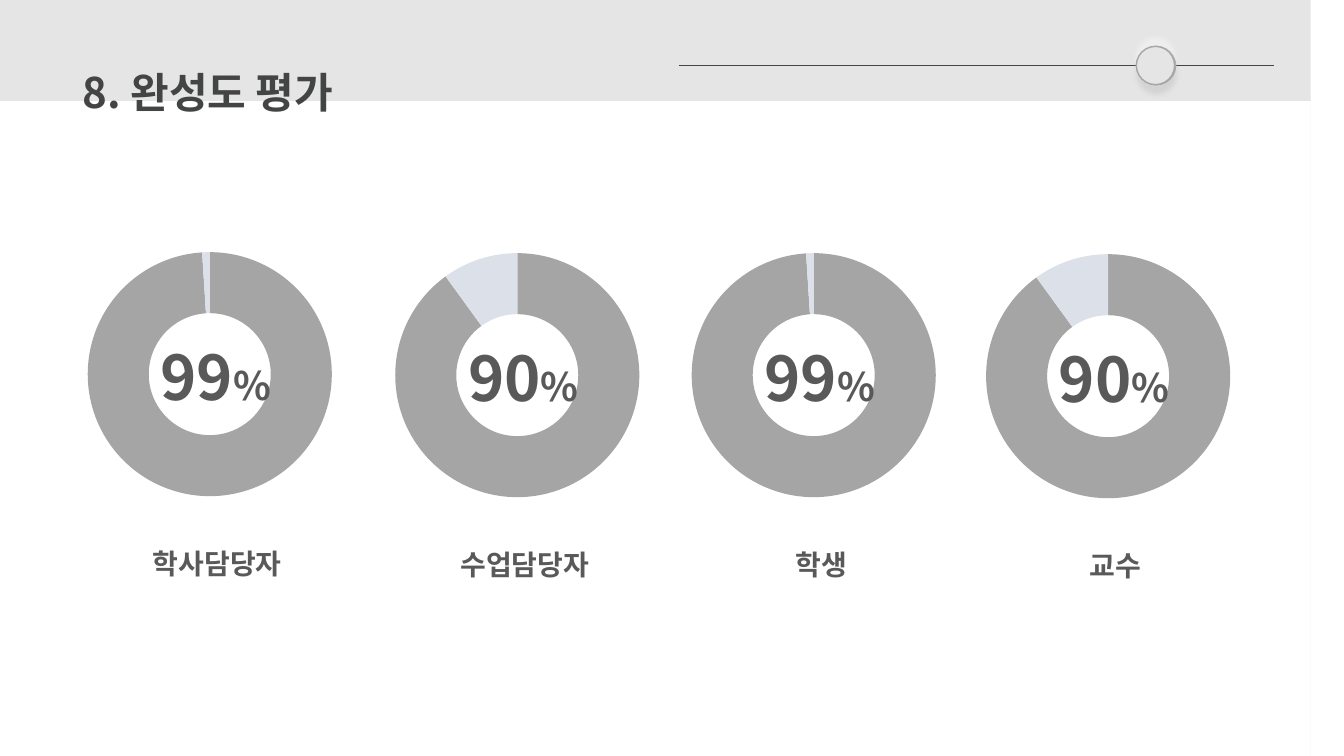
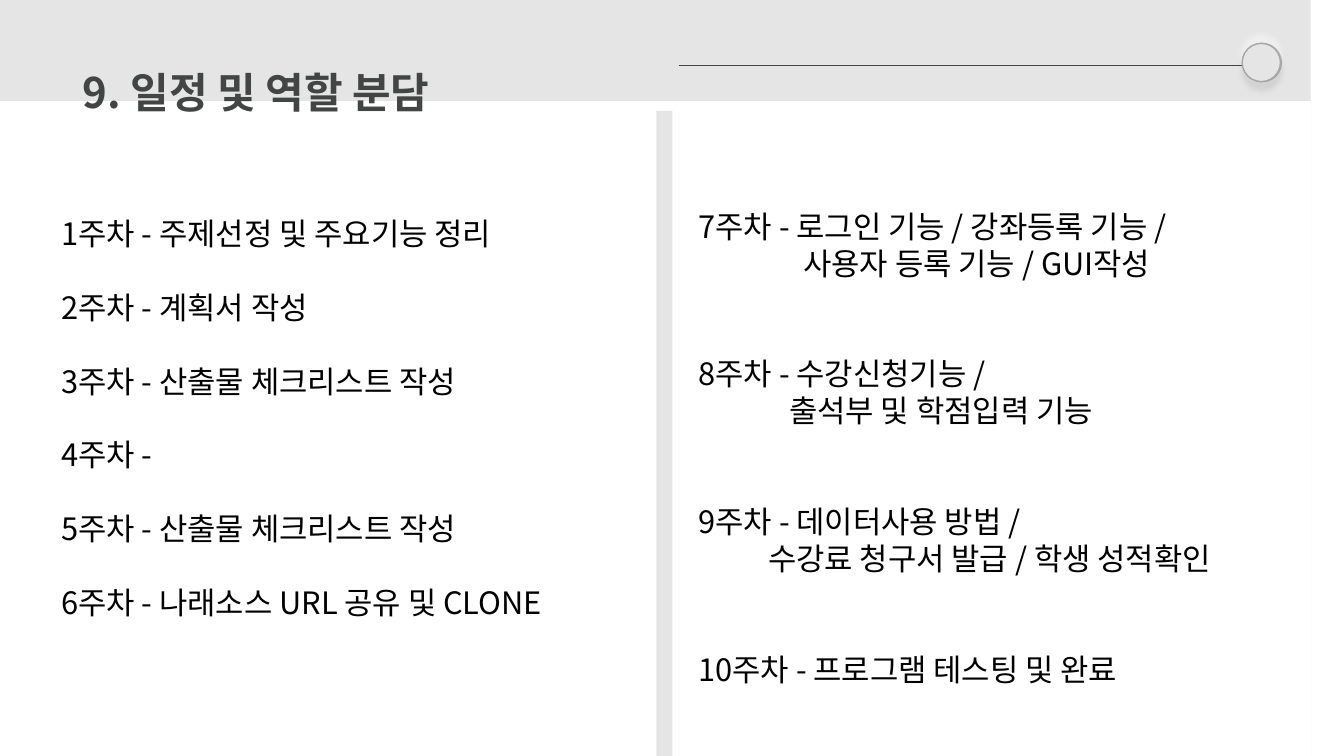
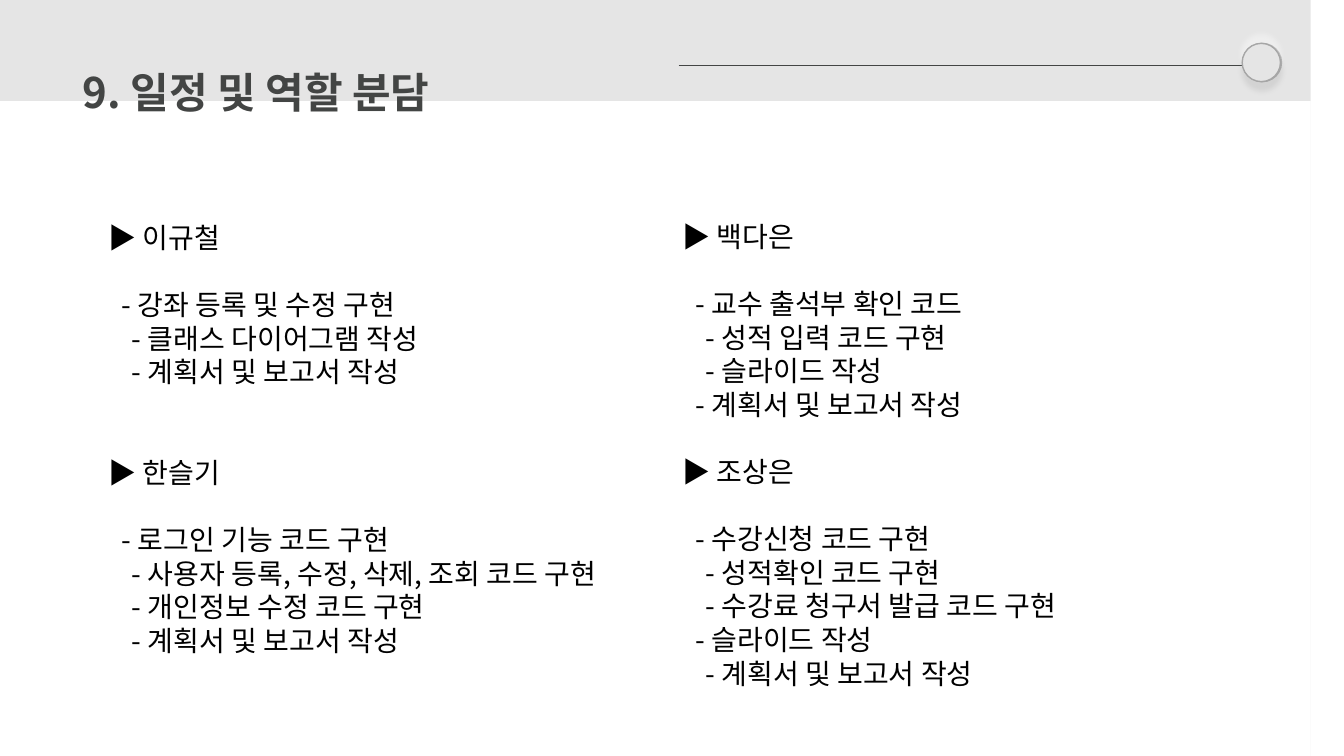
"""Builds three report slides: evaluation charts, weekly schedule and roles."""
from math import cos, pi, sin

from lxml.etree import SubElement
from pptx import Presentation
from pptx.chart.data import CategoryChartData
from pptx.dml.color import RGBColor
from pptx.enum.chart import XL_CHART_TYPE
from pptx.enum.shapes import MSO_CONNECTOR, MSO_SHAPE
from pptx.enum.text import PP_ALIGN
from pptx.oxml import parse_xml
from pptx.oxml.ns import nsdecls, qn
from pptx.util import Inches, Pt

FONT = "Noto Sans CJK KR"
FRAME = RGBColor(0xE5, 0xE5, 0xE5)
KNOB = RGBColor(0xE8, 0xE8, 0xE8)
KNOB_EDGE = RGBColor(0xA6, 0xA6, 0xA6)
TITLE = RGBColor(0x43, 0x45, 0x44)
LABEL = RGBColor(0x59, 0x59, 0x59)
BODY = RGBColor(0, 0, 0)
WHITE = RGBColor(0xFF, 0xFF, 0xFF)
DONE = RGBColor(0xA5, 0xA5, 0xA5)
REST = RGBColor(0xDC, 0xE0, 0xE9)
WIDTH, HEIGHT = 13.33, 7.5


class Deck:
    """Holds the presentation style and the current slide."""

    def __init__(self):
        """Start an empty wide presentation."""
        self.prs = Presentation()
        self.prs.slide_width = Inches(WIDTH)
        self.prs.slide_height = Inches(HEIGHT)
        self.s = None

    def slide(self, title, knob_x, knob_y):
        """Add a slide with frame, title, rule and knob."""
        self.s = self.prs.slides.add_slide(self.prs.slide_layouts[6])
        self.frame()
        self.text((0.72, 0.34, 5.1, 0.84), [{"runs": [(title, 30)]}],
                  {"bold": True}, TITLE, pitch=53)
        self.rule(6.73, 12.64, 0.65)
        self.knob(knob_x, knob_y)

    def frame(self, left=0.4, top=1.28, radius=0.33, steps=16):
        """Draw the grey border around the round-topped white panel."""
        right = WIDTH - left
        turns = [pi / 2 * i / steps for i in range(steps + 1)]
        points = [(WIDTH, 0), (WIDTH, HEIGHT), (right, HEIGHT)]
        points += [(right - radius + radius * cos(t), top + radius - radius * sin(t)) for t in turns]
        points += [(left + radius - radius * sin(t), top + radius - radius * cos(t)) for t in turns]
        points += [(left, HEIGHT), (0, HEIGHT)]
        fb = self.s.shapes.build_freeform(0, 0, scale=Inches(1))
        fb.add_line_segments(points, close=True)
        self.plain(fb.convert_to_shape())

    def plain(self, sp):
        """Give a shape the frame colour without line or shadow."""
        sp.shadow.inherit = False
        sp.fill.solid()
        sp.fill.fore_color.rgb = FRAME
        sp.line.fill.background()

    def divider(self, x, y, w):
        """Draw a frame-coloured bar down to the slide's lower edge."""
        self.plain(self.s.shapes.add_shape(
            MSO_SHAPE.RECTANGLE, Inches(x), Inches(y), Inches(w), Inches(HEIGHT - y)))

    def rule(self, x1, x2, y):
        """Draw a thin horizontal line."""
        line = self.s.shapes.add_connector(
            MSO_CONNECTOR.STRAIGHT, Inches(x1), Inches(y), Inches(x2), Inches(y))
        line.line.color.rgb = TITLE
        line.line.width = Pt(0.5)
        SubElement(line._element.spPr, qn("a:effectLst"))

    def knob(self, x, y, size=0.38):
        """Draw two stacked circles with a dark and a light shadow."""
        group = self.s.shapes.add_group_shape()
        for dx, color, alpha, angle in ((0.01, BODY, 8, 90), (0, WHITE, 40, 270)):
            sp = group.shapes.add_shape(
                MSO_SHAPE.OVAL, Inches(x + dx), Inches(y), Inches(size), Inches(size))
            sp.fill.gradient()
            for stop, rgb in zip(sp.fill.gradient_stops, (KNOB, FRAME)):
                stop.color.rgb = rgb
            sp.line.color.rgb = KNOB_EDGE
            sp.line.width = Pt(1)
            sp.shadow.inherit = False
            spPr = sp._element.spPr
            grad = spPr.find(qn("a:gradFill"))
            grad.replace(grad.find(qn("a:lin")), parse_xml(
                f'<a:path {nsdecls("a")} path="circle">'
                '<a:fillToRect l="50000" t="50000" r="50000" b="50000"/></a:path>'))
            spPr.find(qn("a:effectLst")).append(parse_xml(
                f'<a:outerShdw {nsdecls("a")} blurRad="{Pt(4)}" dist="{Pt(6)}" '
                f'dir="{angle * 60000}" algn="ctr" rotWithShape="0"><a:srgbClr val="{color}">'
                f'<a:alpha val="{alpha * 1000}"/></a:srgbClr></a:outerShdw>'))

    def text(self, box, paragraphs, font, color, pitch, align=PP_ALIGN.LEFT):
        """Add text; each paragraph has runs and optional gap, indent and hang."""
        tf = self.s.shapes.add_textbox(*map(Inches, box)).text_frame
        tf.word_wrap = True
        tf.margin_top = Inches(0.05 + paragraphs[0]["runs"][0][1] / 800)
        for i, item in enumerate(paragraphs):
            p = tf.add_paragraph() if i else tf.paragraphs[0]
            layout = {"alignment": align, "line_spacing": Pt(pitch),
                      "space_before": Pt(item.get("gap", 0) * pitch)}
            for key, value in layout.items():
                setattr(p, key, value)
            pPr = p._p.get_or_add_pPr()
            pPr.set("marL", str(Inches(item.get("left", 0))))
            pPr.set("indent", str(Inches(item.get("first", 0))))
            for words, size in item["runs"]:
                r = p.add_run()
                r.text = words
                r.font.color.rgb = color
                for key, value in {"name": FONT, "size": Pt(size), **font}.items():
                    setattr(r.font, key, value)
                SubElement(r._r.get_or_add_rPr(), qn("a:ea"), typeface=FONT)

    def doughnut(self, x, y, percent, label):
        """Add a doughnut chart with its percentage and caption."""
        data = CategoryChartData()
        data.categories = ["1", "2"]
        data.add_series("Series 1", (percent, 100 - percent))
        chart = self.s.shapes.add_chart(
            XL_CHART_TYPE.DOUGHNUT, Inches(x), Inches(y), Inches(3.68), Inches(3.41), data).chart
        chart.has_legend = False
        chart.has_title = False
        for key, value in {"name": FONT, "size": Pt(14)}.items():
            setattr(chart.font, key, value)
        chart.font.color.rgb = WHITE
        plot = chart.plots[0]
        plot.vary_by_categories = True
        for i, rgb in enumerate((DONE, REST)):
            fmt = plot.series[0].points[i].format
            fmt.fill.solid()
            fmt.fill.fore_color.rgb = rgb
            fmt.line.fill.background()
        area = chart._chartSpace.chart.plotArea
        area.find(".//" + qn("c:holeSize")).set("val", "90")
        for old in area.findall(qn("c:layout")):
            area.remove(old)
        sides = {"x": 0.174, "y": 0.121, "w": 0.658, "h": 0.792}
        area.insert(0, parse_xml(
            f'<c:layout {nsdecls("c")}><c:manualLayout><c:layoutTarget val="inner"/>'
            '<c:xMode val="edge"/><c:yMode val="edge"/>'
            + "".join(f'<c:{k} val="{v}"/>' for k, v in sides.items())
            + "</c:manualLayout></c:layout>"))
        bold = {"bold": True}
        self.text((x + 1.12, y + 1.32, 1.58, 0.82), [{"runs": [(str(percent), 44), ("%", 28)]}],
                  bold, LABEL, 52, PP_ALIGN.CENTER)
        self.text((x + 0.34, y + 3.24, 3.17, 0.6), [{"runs": [(label, 20)]}],
                  bold, LABEL, 35.3, PP_ALIGN.CENTER)

    def weeks(self, box, rows, gap):
        """Add week lines; a row is its text and any indented second line."""
        paragraphs = []
        for i, (head, *more) in enumerate(rows):
            paragraphs.append({"runs": [(head, 22)], "gap": gap if i else 0})
            for words, left in more:
                paragraphs.append({"runs": [(words, 22)], "left": left})
        self.text(box, paragraphs, {}, BODY, 26.4)

    def roles(self, box, people, gap):
        """Add each person's name and tasks; a task is its depth and text."""
        paragraphs = []
        for i, (name, tasks) in enumerate(people):
            paragraphs.append({"runs": [("▶ " + name, 20)], "gap": gap if i else 0})
            for j, (depth, task) in enumerate(tasks):
                paragraphs.append({"runs": [("- " + task, 20)], "gap": 0 if j else 1,
                                   "first": 0.03 + 0.1 * depth})
        self.text(box, paragraphs, {}, BODY, 24)


def main():
    """Build and save the slides."""
    deck = Deck()

    deck.slide("8. 완성도 평가", 11.27, 0.46)
    for x, y, percent, label in (
            (0.23, 1.95, 99, "학사담당자"), (3.28, 1.96, 90, "수업담당자"),
            (6.22, 1.96, 99, "학생"), (9.14, 1.97, 90, "교수")):
        deck.doughnut(x, y, percent, label)

    deck.slide("9. 일정 및 역할 분담", 12.32, 0.43)
    deck.divider(6.51, 1.1, 0.16)
    deck.weeks((0.51, 2.05, 5.84, 4.13), [
        ("1주차 - 주제선정 및 주요기능 정리",),
        ("2주차 - 계획서 작성",),
        ("3주차 - 산출물 체크리스트 작성",),
        ("4주차 -",),
        ("5주차 - 산출물 체크리스트 작성",),
        ("6주차 - 나래소스 URL 공유 및 CLONE",)], gap=1)
    deck.weeks((6.83, 1.98, 5.84, 4.86), [
        ("7주차 - 로그인 기능 / 강좌등록 기능 /", ("사용자 등록 기능 / GUI작성", 1.04)),
        ("8주차 - 수강신청기능 /", ("출석부 및 학점입력 기능", 0.9)),
        ("9주차 - 데이터사용 방법 /", ("수강료 청구서 발급 / 학생 성적확인", 0.69)),
        ("10주차 - 프로그램 테스팅 및 완료",)], gap=2)

    deck.slide("9. 일정 및 역할 분담", 12.32, 0.43)
    report = "계획서 및 보고서 작성"
    deck.roles((0.98, 2.11, 5.4, 4.43), [
        ("이규철", [(1, "강좌 등록 및 수정 구현"), (2, "클래스 다이어그램 작성"), (2, report)]),
        ("한슬기", [(1, "로그인 기능 코드 구현"), (2, "사용자 등록, 수정, 삭제, 조회 코드 구현"),
                 (2, "개인정보 수정 코드 구현"), (2, report)])], gap=2)
    deck.roles((6.67, 2.1, 5.27, 4.76), [
        ("백다은", [(1, "교수 출석부 확인 코드"), (2, "성적 입력 코드 구현"),
                 (2, "슬라이드 작성"), (1, report)]),
        ("조상은", [(1, "수강신청 코드 구현"), (2, "성적확인 코드 구현"),
                 (2, "수강료 청구서 발급 코드 구현"), (1, "슬라이드 작성"), (2, report)])], gap=1)

    deck.prs.save("out.pptx")


if __name__ == "__main__":
    main()
